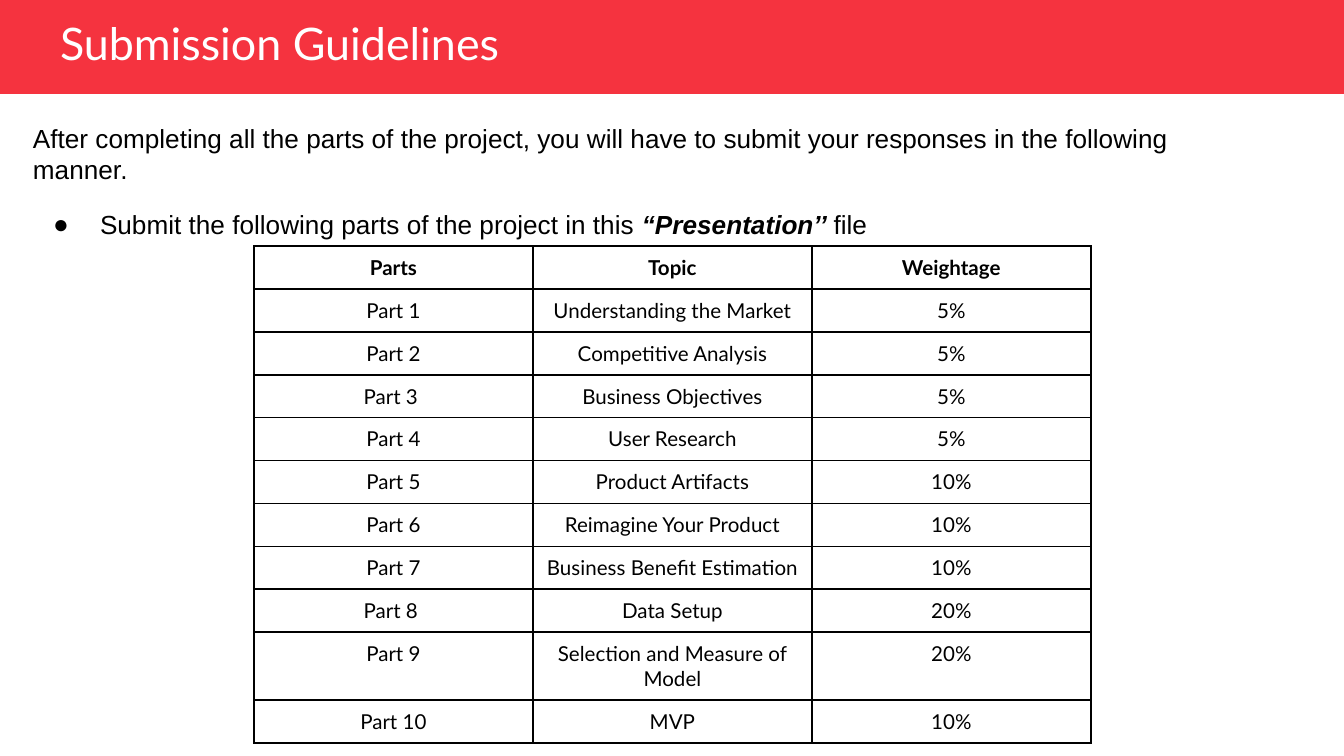
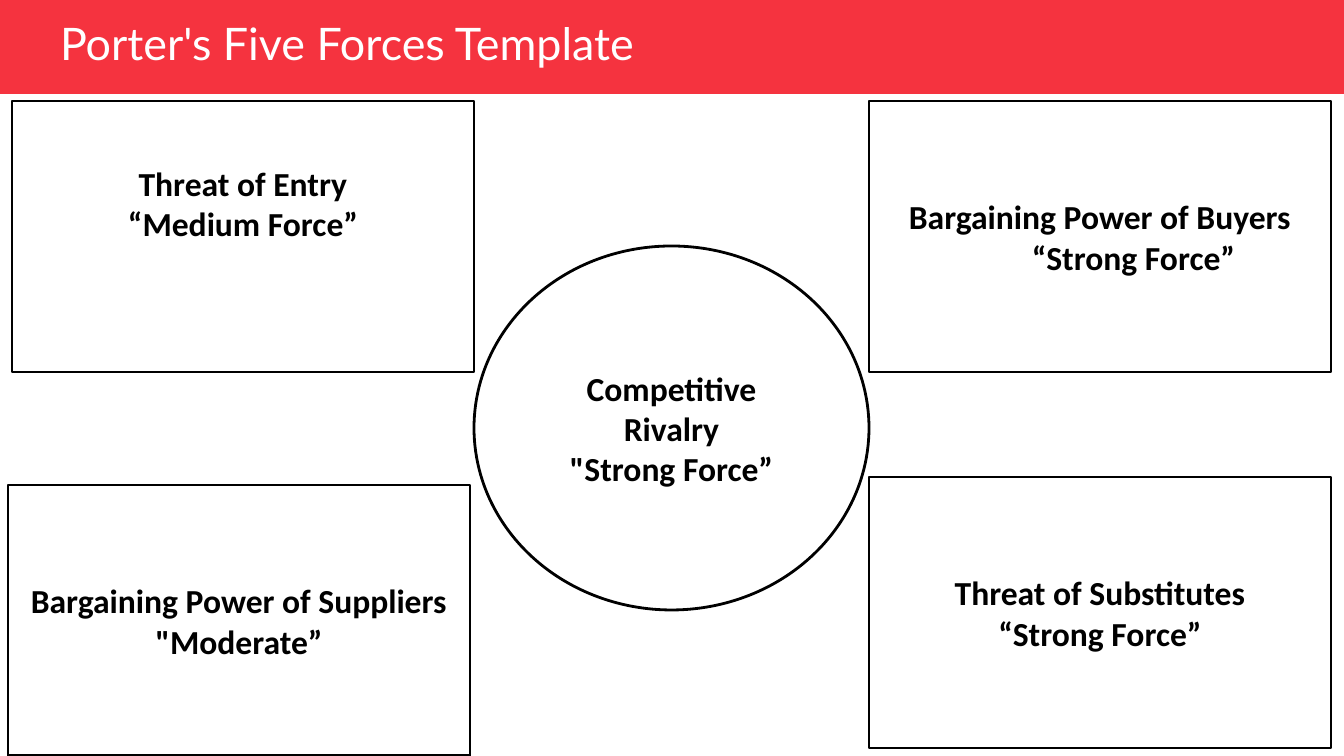
from dataclasses import dataclass

from lxml.etree import SubElement
from pptx import Presentation
from pptx.dml.color import RGBColor
from pptx.enum.shapes import MSO_SHAPE
from pptx.enum.text import MSO_ANCHOR, MSO_AUTO_SIZE, PP_ALIGN
from pptx.oxml.ns import qn
from pptx.util import Emu, Pt

# Content; all lengths are px
GUIDELINES = "Submission Guidelines"
INTRO = ("After completing all the parts of the project, you will have to submit "
         "your responses in the following manner.")
BULLET = [("Submit the following parts of the project in this ", {}),
          ("“Presentation’’ ", {"bold": True, "italic": True}),
          ("file", {})]
PARTS = [
    ("Parts", "Topic", "Weightage"),
    ("Part 1", "Understanding the Market", "5%"),
    ("Part 2", "Competitive Analysis", "5%"),
    ("Part 3 ", "Business Objectives", "5%"),
    ("Part 4", "User Research", "5%"),
    ("Part 5", "Product Artifacts", "10%"),
    ("Part 6", "Reimagine Your Product", "10%"),
    ("Part 7", "Business Benefit Estimation", "10%"),
    ("Part 8 ", "Data Setup", "20%"),
    ("Part 9", "Selection and Measure of Model", "20%"),
    ("Part 10", "MVP", "10%"),
]
TWO_LINE_ROW = 9

FIVE_FORCES = "Porter's Five Forces Template"
BOX = (462, 271)
RIVALRY = (["Competitive Rivalry", '"Strong Force”'], (474, 246), (395, 364))
FORCES = [  # lines, position, bottom inset, indent of the second line
    (["Bargaining Power of Suppliers", '"Moderate”'], (8, 485), 13, 0),
    (["Threat of Entry", "“Medium Force”"], (12, 101), 80, 0),
    (["Threat of Substitutes", "“Strong Force”"], (869, 477), 13, 0),
    (["Bargaining Power of Buyers", "“Strong Force”"], (869, 101), 13, 67),
]


@dataclass(frozen=True)
class Theme:
    red: str = "F5333F"
    black: str = "000000"
    white: str = "FFFFFF"
    title_font: str = "Lato"
    body_font: str = "Arial"
    force_font: str = "Calibri"
    title_size: int = 24
    body_size: int = 14
    table_size: int = 11
    force_size: int = 18
    outline: float = 1.5
    border: int = 1


T = Theme()
SLIDE_W, SLIDE_H, BAND_H = 1344, 756, 94
INSET = 13


def px(n):
    return Emu(round(n * 914400 / 134.4))


def rgb(color):
    return RGBColor.from_string(color)


def write(tf, paragraphs, font=T.body_font, size=T.body_size, color=T.black, bold=False,
          align=PP_ALIGN.LEFT, anchor=MSO_ANCHOR.TOP, spacing=None,
          insets=(INSET,) * 4):
    """Fill a frame; a paragraph is a string or a list of (text, font flags)."""
    tf.word_wrap = True
    tf.auto_size = MSO_AUTO_SIZE.NONE
    tf.vertical_anchor = anchor
    tf.margin_left, tf.margin_top, tf.margin_right, tf.margin_bottom = map(px, insets)
    for i, runs in enumerate(paragraphs):
        p = tf.add_paragraph() if i else tf.paragraphs[0]
        p.alignment = align
        if spacing:
            p.line_spacing = spacing
        for text, flags in [(runs, {})] if isinstance(runs, str) else runs:
            r = p.add_run()
            r.text = text
            r.font.name, r.font.size = font, Pt(size)
            r.font.color.rgb = rgb(color)
            r.font.bold = flags.get("bold", bold)
            r.font.italic = flags.get("italic", False)
    return tf


def indent(p, left, first=0):
    pPr = p._p.get_or_add_pPr()
    pPr.set("marL", str(px(left)))
    pPr.set("indent", str(px(first)))
    return pPr


def add_bullet(p, char):
    pPr = indent(p, 67, -47)
    color = SubElement(SubElement(pPr, qn("a:buClr")), qn("a:srgbClr"))
    color.set("val", T.black)
    SubElement(pPr, qn("a:buFont")).set("typeface", T.body_font)
    SubElement(pPr, qn("a:buChar")).set("char", char)


def add_band(prs, layout):
    """Draw the red band on a slide and move it to the back of the layout."""
    sp = prs.slides[0].shapes.add_shape(MSO_SHAPE.RECTANGLE, 0, 0, px(SLIDE_W), px(BAND_H))
    sp.shadow.inherit = False
    sp.fill.solid()
    sp.fill.fore_color.rgb = rgb(T.red)
    sp.line.fill.background()
    layout.shapes._spTree.insert(2, sp._element)


def add_slide(prs, layout, title, title_w):
    s = prs.slides.add_slide(layout)
    sp = s.shapes.title
    sp.left, sp.top, sp.width, sp.height = map(px, (47, 17, title_w, 57))
    write(sp.text_frame, [title], font=T.title_font, size=T.title_size, color=T.white,
          anchor=MSO_ANCHOR.MIDDLE, spacing=0.9, insets=(13, 7, 13, 7))
    return s


def add_textbox(s, box, paragraphs, **fmt):
    return write(s.shapes.add_textbox(*map(px, box)).text_frame, paragraphs, **fmt)


def set_borders(cell):
    tcPr = cell._tc.get_or_add_tcPr()
    for i, side in enumerate(("lnL", "lnR", "lnT", "lnB")):
        ln = tcPr.makeelement(qn(f"a:{side}"), {"w": str(Pt(T.border))})
        fill = SubElement(ln, qn("a:solidFill"))
        SubElement(fill, qn("a:srgbClr")).set("val", T.black)
        tcPr.insert(i, ln)


def add_parts_table(s):
    col_w, row_h, tall_h = 279, 42, 67
    n_rows, n_cols = len(PARTS), len(PARTS[0])
    height = row_h * (n_rows - 1) + tall_h
    table = s.shapes.add_table(n_rows, n_cols, px(254), px(246),
                               px(col_w * n_cols), px(height)).table
    table.first_row = table.horz_banding = False
    for col in table.columns:
        col.width = px(col_w)
    for i, values in enumerate(PARTS):
        table.rows[i].height = px(tall_h if i == TWO_LINE_ROW else row_h)
        for j, value in enumerate(values):
            cell = table.cell(i, j)
            cell.fill.background()
            cell.margin_left = cell.margin_right = px(9)
            cell.margin_top = cell.margin_bottom = px(9)
            set_borders(cell)
            p = cell.text_frame.paragraphs[0]
            p.alignment = PP_ALIGN.CENTER
            r = p.add_run()
            r.text = value
            r.font.name, r.font.size = T.title_font, Pt(T.table_size)
            r.font.color.rgb = rgb(T.black)
            r.font.bold = i == 0


def add_force(s, shape, lines, position, size, bottom=INSET, second_indent=0):
    sp = s.shapes.add_shape(shape, *map(px, position + size))
    sp.shadow.inherit = False
    sp.fill.background()
    sp.line.color.rgb = rgb(T.black)
    sp.line.width = Pt(T.outline)
    tf = write(sp.text_frame, lines, font=T.force_font, size=T.force_size, bold=True,
               align=PP_ALIGN.CENTER, anchor=MSO_ANCHOR.MIDDLE,
               insets=(INSET, INSET, INSET, bottom))
    if second_indent:
        indent(tf.paragraphs[1], second_indent)


def main():
    prs = Presentation()
    prs.slide_width, prs.slide_height = px(SLIDE_W), px(SLIDE_H)
    layout = prs.slide_layouts.get_by_name("Title Only")

    s = add_slide(prs, layout, GUIDELINES, 679)
    add_band(prs, layout)
    tf = add_textbox(s, (20, 191, 1223, 555), [BULLET], spacing=1.15)
    add_bullet(tf.paragraphs[0], "●")
    add_textbox(s, (20, 109, 1242, 108), [INTRO])
    add_parts_table(s)

    s = add_slide(prs, layout, FIVE_FORCES, 633)
    add_force(s, MSO_SHAPE.OVAL, *RIVALRY)
    for lines, position, bottom, second_indent in FORCES:
        add_force(s, MSO_SHAPE.RECTANGLE, lines, position, BOX, bottom, second_indent)

    prs.save("out.pptx")


if __name__ == "__main__":
    main()
